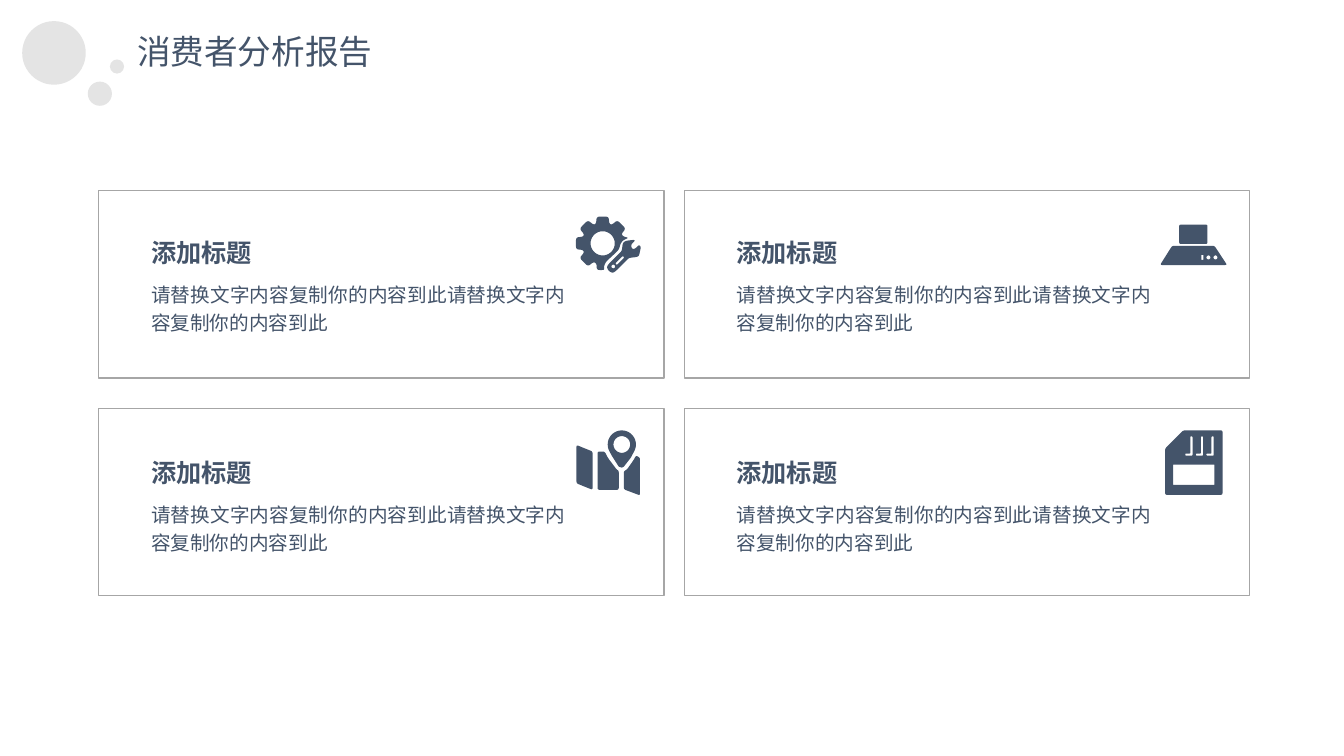
from dataclasses import dataclass
from itertools import product
from math import cos, radians, sin

from lxml import etree
from pptx import Presentation
from pptx import util as u
from pptx.dml.color import RGBColor
from pptx.enum import shapes, text
from pptx.oxml.ns import qn


@dataclass(frozen=True)
class Theme:
    font: str = "Noto Sans CJK SC"
    ink: str = "44546A"
    border: str = "A6A6A6"
    bubble: str = "D9D9D9"
    title: int = 24
    heading: int = 18
    body: int = 14


THEME = Theme()
ICON_DETAIL = 100


def write(frame, words, size, bold=False, align=text.PP_ALIGN.LEFT, spacing=None,
          wrap=True, anchor=text.MSO_ANCHOR.TOP, fit=text.MSO_AUTO_SIZE.SHAPE_TO_FIT_TEXT):
    frame.word_wrap = wrap
    frame.auto_size = fit
    frame.vertical_anchor = anchor
    para = frame.paragraphs[0]
    para.alignment = align
    para.line_spacing = spacing
    span = para.add_run()
    span.text = words
    span.font.size = u.Pt(size)
    span.font.bold = bold
    span.font.name = THEME.font
    span.font.color.rgb = RGBColor.from_string(THEME.ink)
    etree.SubElement(span.font._element, qn("a:ea"), typeface=THEME.font)


def circle(x, y, radius, start=0, end=360):
    return [(x + radius * cos(radians(angle)), y + radius * sin(radians(angle)))
            for angle in range(start, end + 1, 10)]


def rectangle(left, top, right, bottom):
    return [(left, top), (right, top), (right, bottom), (left, bottom)]


def rounded(corners, radius):
    def toward(corner, other):
        dx, dy = other[0] - corner[0], other[1] - corner[1]
        share = min(0.5, radius / (dx * dx + dy * dy) ** 0.5)
        return corner[0] + dx * share, corner[1] + dy * share

    outline = []
    for index, corner in enumerate(corners):
        first = toward(corner, corners[index - 1])
        last = toward(corner, corners[(index + 1) % len(corners)])
        for t in (0, 0.25, 0.5, 0.75, 1):
            outline.append(tuple((1 - t) ** 2 * a + 2 * t * (1 - t) * b + t * t * c
                                 for a, b, c in zip(first, corner, last)))
    return outline


def gear_and_wrench():
    x, y = 27, 30.5
    gear = [(48, 24), (53, 25), (48, 27), (45, 30), (43, 37), (30, 49),
            (28, 54), (29, 57), (21, 57), (21, 50.5)]
    for angle in range(135, 316, 45):
        c, s = cos(radians(angle)), sin(radians(angle))
        for reach, side in ((19.5, -6.5), (26.5, -6), (26.5, 6), (19.5, 6.5)):
            gear.append((x + reach * c - side * s, y + reach * s + side * c))
    wrench = [(58, 27), (59, 28), (55, 32), (56, 36), (59, 36), (63, 32),
              (65, 34), (63, 43), (61, 44), (53, 45), (40, 58), (37, 60),
              (33, 58), (31, 54), (33, 51), (46, 38), (47, 30), (50, 28)]
    slot = [(47, 43), (48.5, 44.5), (41, 52), (39.5, 50.5)]
    return [rounded(gear, 3), circle(x, y, 12), rounded(wrench, 2),
            circle(37.5, 53.5, 1.8), rounded(slot, 1)]


def cooker_hood():
    base = [(11, 33), (53, 33), (65.5, 52), (-1, 52)]
    return [rounded(base, 2), rounded(rectangle(18, 12, 46, 31), 1.5),
            rectangle(40, 42, 42, 47), circle(47, 44.5, 2), circle(54, 44.5, 2)]


def folded_map():
    left = [(1, 14.5), (17, 21), (17, 59), (1, 52.5)]
    middle = [(22, 21), (29, 21), (32, 27), (41, 39), (43, 40), (43, 59), (22, 59)]
    right = [(60, 25), (64, 27), (64, 64.5), (48, 58.5), (48, 40.5), (51, 39), (58, 29)]
    pin = circle(46, 14, 14, 150, 390) + [(55, 27), (48, 36), (46, 37), (43, 36), (36, 25)]
    return [rounded(left, 2), rounded(middle, 2), rounded(right, 2), pin,
            circle(46, 14, 8.3)]


def memory_card():
    case = [(22, 0), (61, 0), (61, 64), (4, 64), (4, 18)]
    contacts = [rounded([(x, 23), (x + 5, 23), (x + 5, 6), (x + 7.2, 6),
                         (x + 7.2, 25), (x, 25)], 0.8) for x in (24, 34.5, 45)]
    return [rounded(case, 2), *contacts, rectangle(12, 34, 53, 54)]


class SlideBuilder:
    def __init__(self, deck):
        self.deck = deck
        self.page = deck.slides.add_slide(deck.slide_layouts[5])
        self.canvas = self.page.shapes

    def across(self, percent):
        return u.Emu(round(self.deck.slide_width * percent / 100))

    def down(self, percent):
        return u.Emu(round(self.deck.slide_height * percent / 100))

    def area(self, left, top, width, height):
        return self.across(left), self.down(top), self.across(width), self.down(height)

    def title(self, words, *place):
        box = self.page.shapes.title
        box.left, box.top, box.width, box.height = self.area(*place)
        write(box.text_frame, words, THEME.title, wrap=False,
              anchor=text.MSO_ANCHOR.MIDDLE, fit=text.MSO_AUTO_SIZE.NONE)

    def bubble(self, left, top, diameter):
        size = self.across(diameter)
        shape = self.canvas.add_shape(shapes.MSO_SHAPE.FLOWCHART_CONNECTOR,
                                      self.across(left), self.down(top), size, size)
        self.paint(shape, THEME.bubble)
        color = shape.fill._xPr.find(qn("a:solidFill"))[0]
        etree.SubElement(color, qn("a:alpha"), val="70000")

    def paint(self, shape, color):
        shape.shadow.inherit = False
        shape.fill.solid()
        shape.fill.fore_color.rgb = RGBColor.from_string(color)
        shape.line.fill.background()

    def frame(self, *place):
        box = self.canvas.add_shape(shapes.MSO_SHAPE.RECTANGLE, *self.area(*place))
        box.shadow.inherit = False
        box.fill.background()
        box.line.color.rgb = RGBColor.from_string(THEME.border)
        box.line.width = u.Pt(1)

    def label(self, words, *place, **style):
        box = self.canvas.add_textbox(*self.area(*place))
        write(box.text_frame, words, align=text.PP_ALIGN.JUSTIFY, spacing=1.2, **style)

    def icon(self, outlines, left, top):
        outlines = [[(x * ICON_DETAIL, y * ICON_DETAIL) for x, y in outline]
                    for outline in outlines]
        scale = self.deck.slide_width / (1333.33 * ICON_DETAIL)
        builder = self.canvas.build_freeform(*outlines[0][0], scale=scale)
        builder.add_line_segments(outlines[0][1:])
        for outline in outlines[1:]:
            builder.move_to(*outline[0])
            builder.add_line_segments(outline[1:])
        self.paint(builder.convert_to_shape(self.across(left), self.down(top)), THEME.ink)

    def card(self, column, row, heading, body, outlines):
        self.canvas = self.page.shapes.add_group_shape().shapes
        left, top = 7.35 + 43.57 * column, 25.2 + 28.8 * row
        text_left, text_top = left + 3.15, 30 + 29.07 * row
        self.frame(left, top, 42.07, 24.8)
        self.icon(outlines, left + 35.47, top + 2.93)
        self.label(body, text_left, text_top + 6.13, 32.33, 8.93, size=THEME.body)
        self.label(heading, text_left, text_top, 16.8, 5.73, size=THEME.heading, bold=True)


def main():
    deck = Presentation()
    deck.slide_width, deck.slide_height = u.Inches(13.33), u.Inches(7.5)
    builder = SlideBuilder(deck)
    for bubble in ((1.65, 2.8, 4.73), (6.53, 10.8, 1.8), (8.18, 7.87, 1.05)):
        builder.bubble(*bubble)
    builder.title("消费者分析报告", 9.45, 3.47, 19.2, 6.67)
    icons = (gear_and_wrench, folded_map, cooker_hood, memory_card)
    for (column, row), icon in zip(product(range(2), repeat=2), icons):
        builder.card(column, row, "添加标题", "请替换文字内容复制你的内容到此" * 2, icon())
    deck.save("out.pptx")


if __name__ == "__main__":
    main()
